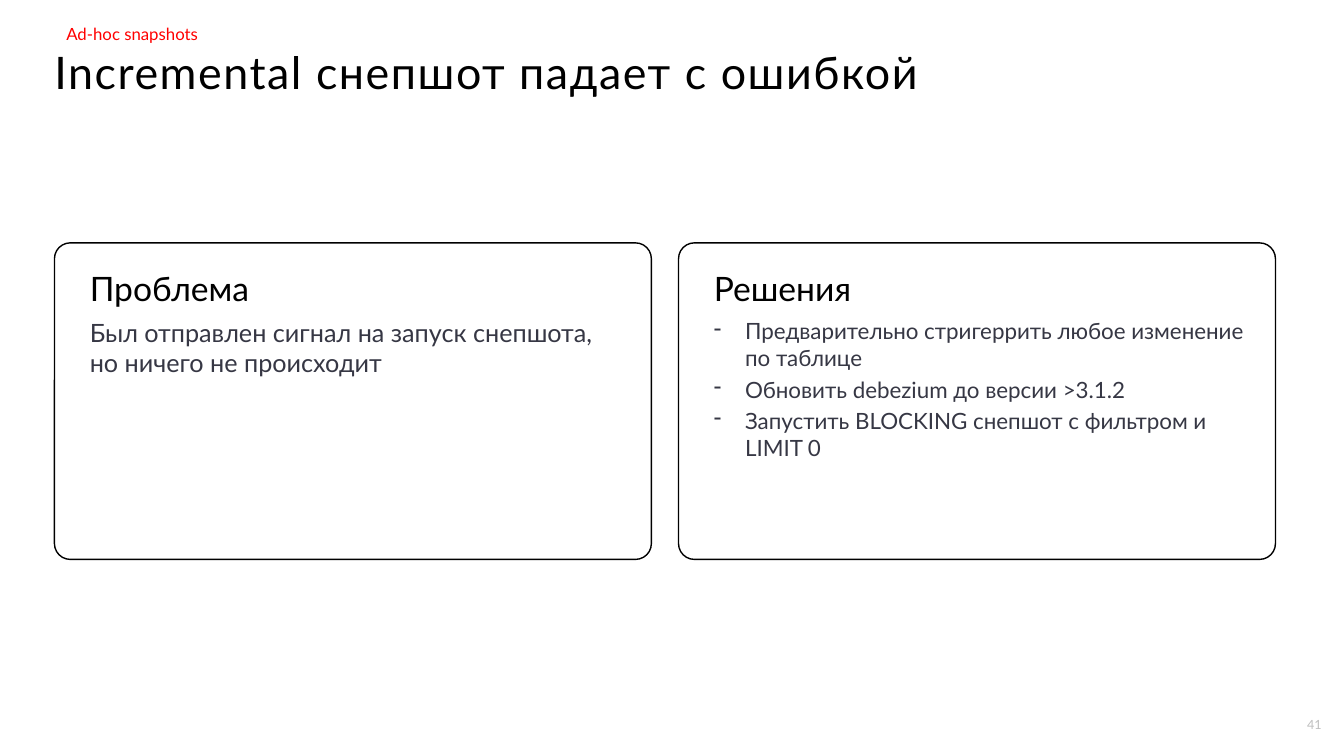
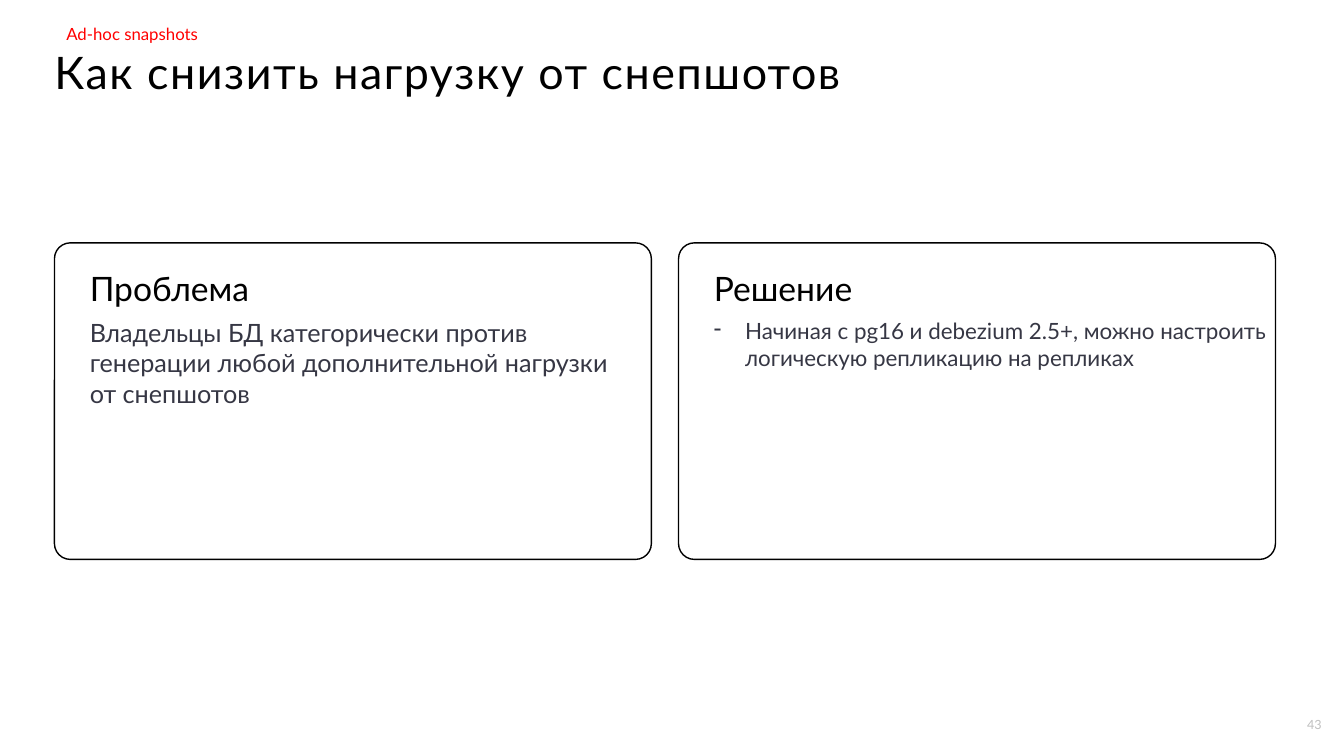
from lxml.etree import SubElement
from pptx import Presentation
from pptx.dml.color import RGBColor
from pptx.enum.shapes import MSO_SHAPE
from pptx.enum.text import MSO_ANCHOR as Anchor, MSO_AUTO_SIZE, PP_ALIGN as Align
from pptx.oxml.ns import qn
from pptx.util import Inches, Pt

FONT = "Lato"
COLORS = {
    "paper": "FFFFFF",
    "ink": "000000",
    "body": "363744",
    "accent": "FF0000",
    "muted": "BFBFBF",
}

# Two equal columns of cards, inches
MARGIN, GAP, CARD_W = 0.54, 0.27, 5.92
CARD_TOP, CARD_H = 2.41, 3.14
PADDING = 0.35
HEAD_TOP, HEAD_H = 2.73, 0.33
TEXT_TOP, TEXT_H = 3.15, 0.97
HEADER_W = 11.77
HANG = Inches(0.31)

SLIDES = [
    {
        "title": "Incremental снепшот падает с ошибкой",
        "number": "41",
        "problem": "Был отправлен сигнал на запуск снепшота, но ничего не происходит",
        "solution_head": "Решения",
        "solutions": [
            "Предварительно стригеррить любое изменение по таблице",
            "Обновить debezium до версии >3.1.2",
            "Запустить BLOCKING снепшот с фильтром и LIMIT 0",
        ],
    },
    {
        "title": "Как снизить нагрузку от снепшотов",
        "number": "43",
        "problem": "Владельцы БД категорически против генерации любой "
                   "дополнительной нагрузки от снепшотов",
        "solution_head": "Решение",
        "solutions": [
            "Начиная с pg16 и debezium 2.5+, можно настроить "
            "логическую репликацию на репликах",
        ],
    },
]


def write(holder, lines, size, color, anchor=Anchor.TOP, align=Align.LEFT,
          inset=0, dashed=False):
    """Fill a shape with one styled paragraph per line, dashed if it is a list."""
    frame = holder.text_frame
    frame.word_wrap = True
    frame.auto_size = MSO_AUTO_SIZE.NONE
    frame.vertical_anchor = anchor
    frame.margin_left = frame.margin_right = Inches(inset)
    frame.margin_top = frame.margin_bottom = Inches(inset / 2)
    for index, line in enumerate(lines):
        paragraph = frame.add_paragraph() if index else frame.paragraphs[0]
        paragraph.alignment = align
        paragraph.space_before = Pt(0.2 * size if index else 0)
        if dashed:
            properties = paragraph._p.get_or_add_pPr()
            properties.set("marL", str(HANG))
            properties.set("indent", str(-HANG))
            SubElement(properties, qn("a:buChar"), char="-")
        run = paragraph.add_run()
        run.text = line
        run.font.name = FONT
        run.font.size = Pt(size)
        run.font.color.rgb = RGBColor.from_string(COLORS[color])


def box(slide, left, top, width, height):
    return slide.shapes.add_textbox(*map(Inches, (left, top, width, height)))


prs = Presentation()
prs.slide_width, prs.slide_height = Inches(13.33), Inches(7.5)
title_only = prs.slide_layouts[5]

for content in SLIDES:
    slide = prs.slides.add_slide(title_only)

    title = slide.shapes.title
    title.left, title.top = Inches(MARGIN), Inches(0.5)
    title.width, title.height = Inches(HEADER_W), Inches(0.39)
    write(title, [content["title"]], 32, "ink")
    heading = title.text_frame.paragraphs[0]
    heading.line_spacing = 0.9
    heading.runs[0].font._element.set("spc", "110")

    section = box(slide, 0.56, 0.18, HEADER_W, 0.32)
    write(section, ["Ad-hoc snapshots"], 12, "accent", Anchor.MIDDLE, inset=0.1)

    columns = [
        ("Проблема", [content["problem"]], 18, 5.19, False),
        (content["solution_head"], content["solutions"], 16, 5.49, True),
    ]
    for column, (head, lines, size, text_w, dashed) in enumerate(columns):
        left = MARGIN + column * (CARD_W + GAP)
        card = slide.shapes.add_shape(
            MSO_SHAPE.ROUNDED_RECTANGLE,
            *map(Inches, (left, CARD_TOP, CARD_W, CARD_H)))
        card.adjustments[0] = 0.05
        card.shadow.inherit = False
        card.fill.solid()
        card.fill.fore_color.rgb = RGBColor.from_string(COLORS["paper"])
        card.line.color.rgb = RGBColor.from_string(COLORS["ink"])
        card.line.width = Pt(1)

        text_left = left + PADDING
        write(box(slide, text_left, HEAD_TOP, 4.08, HEAD_H), [head], 24, "ink",
              Anchor.BOTTOM)
        write(box(slide, text_left, TEXT_TOP, text_w, TEXT_H), lines, size, "body",
              dashed=dashed)

    page_number = box(slide, 12.55, 7.11, 0.56, 0.2)
    write(page_number, [content["number"]], 9, "muted", align=Align.RIGHT)

prs.save("out.pptx")
